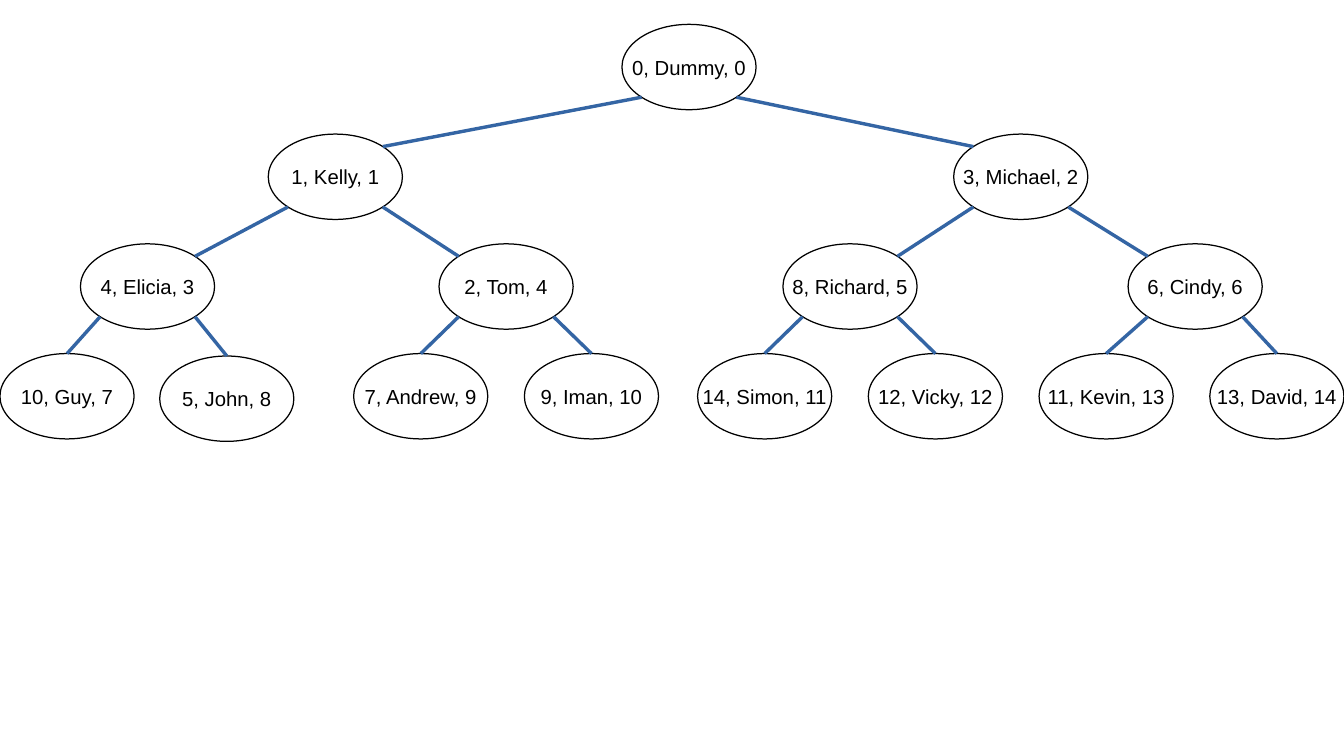
from dataclasses import dataclass
from math import sqrt

from lxml import etree
from pptx import Presentation
from pptx import util as u
from pptx.dml.color import RGBColor
from pptx.enum import shapes, text
from pptx.oxml import ns


@dataclass(frozen=True)
class Theme:
    font: str = "Arial"
    size: int = 12
    ink: RGBColor = RGBColor(0x00, 0x00, 0x00)
    paper: RGBColor = RGBColor(0xFF, 0xFF, 0xFF)
    edge: RGBColor = RGBColor(0x34, 0x65, 0xA4)
    hairline: int = 0


THEME = Theme()
NODE_WIDTH, NODE_HEIGHT = 1.1, 0.7
DIAGONAL = 1 / sqrt(2)

# Heap in level order: label, left, top
NODES = [
    ("0, Dummy, 0", 5.1, 0.2),
    ("1, Kelly, 1", 2.2, 1.1),
    ("3, Michael, 2", 7.82, 1.1),
    ("4, Elicia, 3", 0.66, 2),
    ("2, Tom, 4", 3.6, 2),
    ("8, Richard, 5", 6.42, 2),
    ("6, Cindy, 6", 9.25, 2),
    ("10, Guy, 7", 0, 2.9),
    ("5, John, 8", 1.31, 2.92),
    ("7, Andrew, 9", 2.9, 2.9),
    ("9, Iman, 10", 4.3, 2.9),
    ("14, Simon, 11", 5.72, 2.9),
    ("12, Vicky, 12", 7.12, 2.9),
    ("11, Kevin, 13", 8.52, 2.9),
    ("13, David, 14", 9.92, 2.9),
]


def add_node(page, label, left, top):
    """Draw one heap entry as a labelled ellipse."""
    node = page.shapes.add_shape(
        shapes.MSO_SHAPE.OVAL, u.Inches(left), u.Inches(top),
        u.Inches(NODE_WIDTH), u.Inches(NODE_HEIGHT))
    node.shadow.inherit = False
    node.fill.solid()
    node.fill.fore_color.rgb = THEME.paper
    node.line.color.rgb = THEME.ink
    node.line.width = u.Pt(THEME.hairline)

    frame = node.text_frame
    frame.text = label
    frame.word_wrap = False
    frame.vertical_anchor = text.MSO_ANCHOR.MIDDLE
    para = frame.paragraphs[0]
    para.alignment = text.PP_ALIGN.CENTER
    font = para.runs[0].font
    font.name = THEME.font
    font.size = u.Pt(THEME.size)
    font.color.rgb = THEME.ink


def rim_point(index, across, down):
    """Point on a node's rim; across and down run from -1 to 1."""
    _, left, top = NODES[index]
    return (u.Inches(left + NODE_WIDTH / 2 * (1 + across)),
            u.Inches(top + NODE_HEIGHT / 2 * (1 + down)))


def add_edge(page, child):
    """Join a node to its parent, found by the heap index rule."""
    parent = (child - 1) // 2
    side = -DIAGONAL if child % 2 else DIAGONAL
    is_leaf = 2 * child + 1 >= len(NODES)
    start = rim_point(parent, side, DIAGONAL)
    end = rim_point(child, 0, -1) if is_leaf else rim_point(child, -side, -DIAGONAL)
    edge = page.shapes.add_connector(shapes.MSO_CONNECTOR.STRAIGHT, *start, *end)
    edge.line.color.rgb = THEME.edge
    edge.line.width = u.Pt(THEME.hairline)
    etree.SubElement(edge._element.spPr, ns.qn("a:effectLst"))


def main():
    deck = Presentation()
    deck.slide_width, deck.slide_height = u.Inches(11.02), u.Inches(6.2)
    page = deck.slides.add_slide(deck.slide_layouts[6])

    # Heap entries
    for label, left, top in NODES:
        add_node(page, label, left, top)

    # Edges from each parent to its children
    for child in range(1, len(NODES)):
        add_edge(page, child)

    deck.save("out.pptx")


if __name__ == "__main__":
    main()
